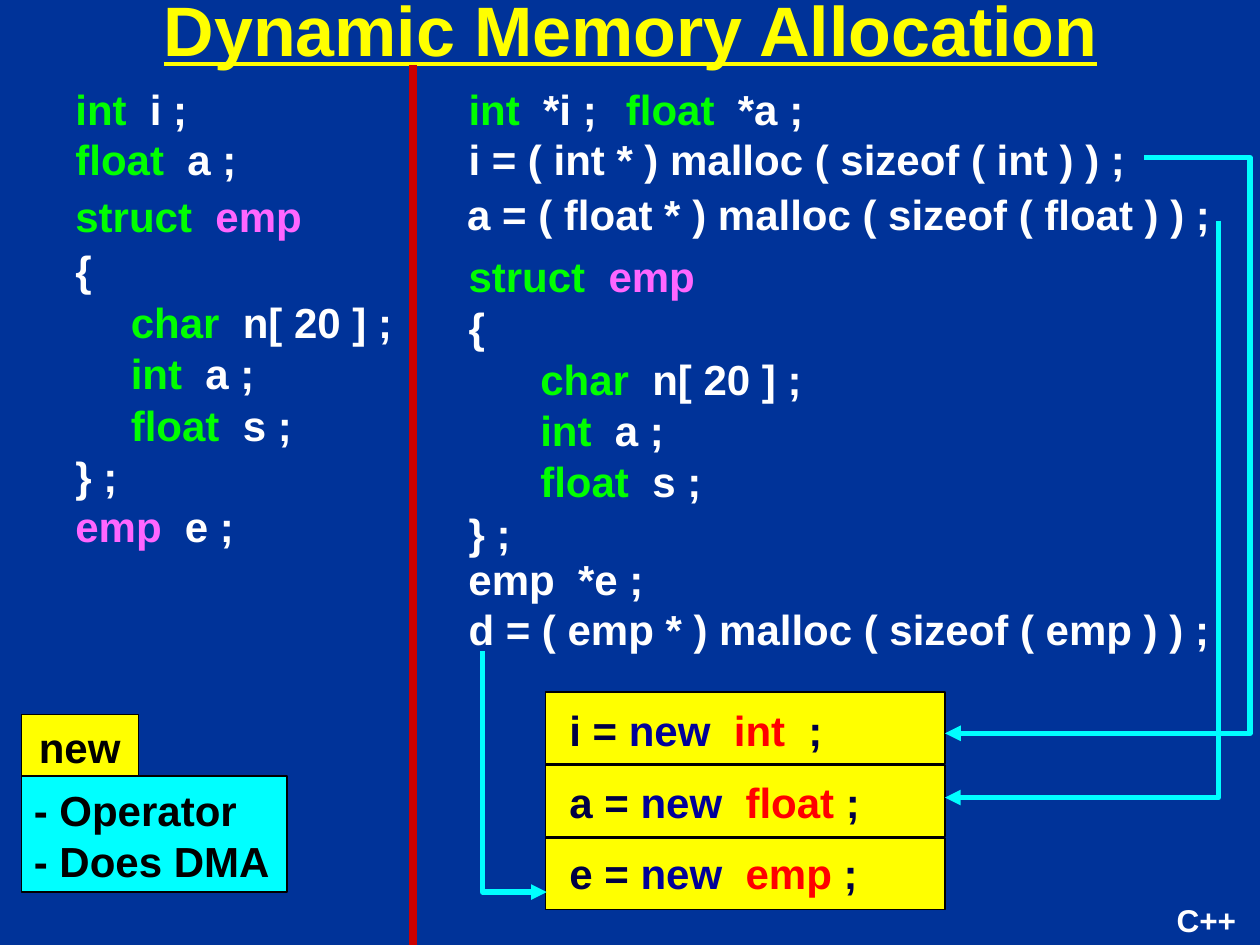
"""Build the Dynamic Memory Allocation slide comparing declarations, malloc and new."""
from lxml import etree
from pptx import Presentation
from pptx.dml.color import RGBColor
from pptx.enum.shapes import MSO_CONNECTOR as CONN, MSO_SHAPE as SHAPE
from pptx.enum.text import MSO_ANCHOR as ANCHOR, MSO_AUTO_SIZE as FIT, PP_ALIGN as ALIGN
from pptx.oxml.ns import qn
from pptx.util import Inches, Pt

WHITE, GREEN, PINK, YELLOW, CYAN = "FFFFFF", "00FF00", "FF66FF", "FFFF00", "00FFFF"
BLACK, NAVY, BLUE, RED = "000000", "000044", "000099", "FF0000"
rgb = RGBColor.from_string


def write(tf, paras, size=24, spacing=None, **font):
    """Fill a text frame with paragraphs, each a list of (text, colour) runs."""
    frame = {"margin_left": Inches(0.1), "margin_right": Inches(0.1),
             "margin_top": Inches(0.05), "margin_bottom": Inches(0.05),
             "vertical_anchor": ANCHOR.TOP}
    for name, value in frame.items():
        setattr(tf, name, value)
    for i, runs in enumerate(paras):
        p = tf.paragraphs[0] if i == 0 else tf.add_paragraph()
        if spacing:
            p.line_spacing, p.space_before = spacing[i], Pt(15)
        for text, color in runs:
            r = p.add_run()
            r.text = text
            for name, value in {"name": "Arial", "size": Pt(size), "bold": True, **font}.items():
                setattr(r.font, name, value)
            r.font.color.rgb = rgb(color)


def add_text(x, y, w, paras, wrap=True, **style):
    """Add a text box that grows with its text."""
    height = 0.4 if style.get("size") else 0.5 * len(paras)
    sp = s.shapes.add_textbox(Inches(x), Inches(y), Inches(w), Inches(height))
    tf = sp.text_frame
    tf.word_wrap, tf.auto_size = wrap, FIT.SHAPE_TO_FIT_TEXT
    write(tf, paras, **style)
    return tf


prs = Presentation()
prs.slide_width, prs.slide_height = Inches(10), Inches(7.5)
s = prs.slides.add_slide(prs.slide_layouts[5])
s.background.fill.solid()
s.background.fill.fore_color.rgb = rgb("003399")

title = s.shapes.title
box = {"left": 0.81, "top": -0.16, "width": 8.39, "height": 0.77}
for name, value in box.items():
    setattr(title, name, Inches(value))
title.text_frame.auto_size = FIT.NONE
write(title.text_frame, [[("Dynamic Memory Allocation", YELLOW)]], size=40, underline=True)
title.text_frame.paragraphs[0].alignment = ALIGN.CENTER

struct = [
    [("struct  ", GREEN), ("emp", PINK)],
    [("{", WHITE)],
    [("char", GREEN), ("  n[ 20 ] ;", WHITE)],
    [("int", GREEN), ("  a ;", WHITE)],
    [("float", GREEN), ("  s ;", WHITE)],
    [("} ;", WHITE)],
]
for x, y, w, first, indent in [(0.5, 1.54, 2.92, 0.8, 0.44), (3.62, 2.11, 3.08, 0.5, 0.57)]:
    tf = add_text(x, y, w, struct, spacing=[first] + [0.5] * 5)
    for p in tf.paragraphs[2:5]:
        p._p.get_or_add_pPr().set("marL", str(Inches(indent)))

code = [
    (0.5, 0.61, 1.58, [("int", GREEN), ("  i ;", WHITE)]),
    (0.5, 1.01, 1.85, [("float", GREEN), ("  a ;", WHITE)]),
    (0.5, 3.92, 1.67, [("emp", PINK), ("  e ;", WHITE)]),
    (3.62, 0.61, 1.42, [("int", GREEN), ("  *i ;", WHITE)]),
    (4.87, 0.61, 1.63, [("float", GREEN), ("  *a ;", WHITE)]),
    (3.62, 1.01, 6.25, [("i = ( int * ) malloc ( sizeof ( int ) ) ;", WHITE)]),
    (3.62, 4.34, 2, [("emp  *e ;", WHITE)]),
    (3.62, 4.74, 6.42, [("d = ( emp * ) malloc ( sizeof ( emp ) ) ;", WHITE)]),
]
for x, y, w, runs in code:
    add_text(x, y, w, [runs])
add_text(3.61, 1.45, 6.1, [[("a = ( float * ) malloc ( sizeof ( float ) ) ;", WHITE)]], wrap=False)

divider = s.shapes.add_connector(CONN.STRAIGHT, Inches(3.28), Inches(0.52), Inches(3.28), Inches(7.59))
divider.line.color.rgb, divider.line.width = rgb("CC0000"), Pt(4.5)
etree.SubElement(divider._element.spPr, qn("a:effectLst"))

panels = [(0.17, 5.67, 0.93, 0.51, YELLOW), (0.17, 6.16, 2.11, 0.92, CYAN)]
panels += [(4.33, 5.49 + 0.58 * i, 3.17, 0.57, YELLOW) for i in range(3)]
for x, y, w, h, color in panels:
    sp = s.shapes.add_shape(SHAPE.RECTANGLE, Inches(x), Inches(y), Inches(w), Inches(h))
    sp.shadow.inherit = False
    sp.fill.solid()
    sp.fill.fore_color.rgb = rgb(color)
    sp.line.color.rgb, sp.line.width = rgb(BLACK), Pt(1)

add_text(0.21, 5.68, 0.93, [[("new", BLACK)]])
add_text(0.17, 6.18, 2.25, [[("- Operator", BLACK)], [("- Does DMA", BLACK)]])
statements = [("i", "int", "  ;", 5.54), ("a", "float", " ;", 6.11), ("e", "emp", " ;", 6.68)]
for var, kind, end, y in statements:
    add_text(4.42, y, 3.08, [[(f"{var} = ", NAVY), ("new  ", BLUE), (kind, RED), (end, NAVY)]])

arrows = [
    [(3.83, 5.17), (3.83, 7.08), (4.34, 7.08)],
    [(9.08, 1.25), (9.92, 1.25), (9.92, 5.82), (7.5, 5.82)],
    [(9.67, 1.75), (9.67, 6.33), (7.5, 6.33)],
]
for points in arrows:
    start, *rest = [(Inches(x), Inches(y)) for x, y in points]
    fb = s.shapes.build_freeform(*start)
    fb.add_line_segments(rest, close=False)
    sp = fb.convert_to_shape()
    sp.shadow.inherit = False
    sp.fill.background()
    sp.line.color.rgb, sp.line.width = rgb(CYAN), Pt(3)
    etree.SubElement(sp._element.spPr.get_or_add_ln(), qn("a:tailEnd"), type="triangle")

add_text(9.24, 7.1, 0.67, [[("C++", WHITE)]], wrap=False, size=18)

prs.save("out.pptx")
